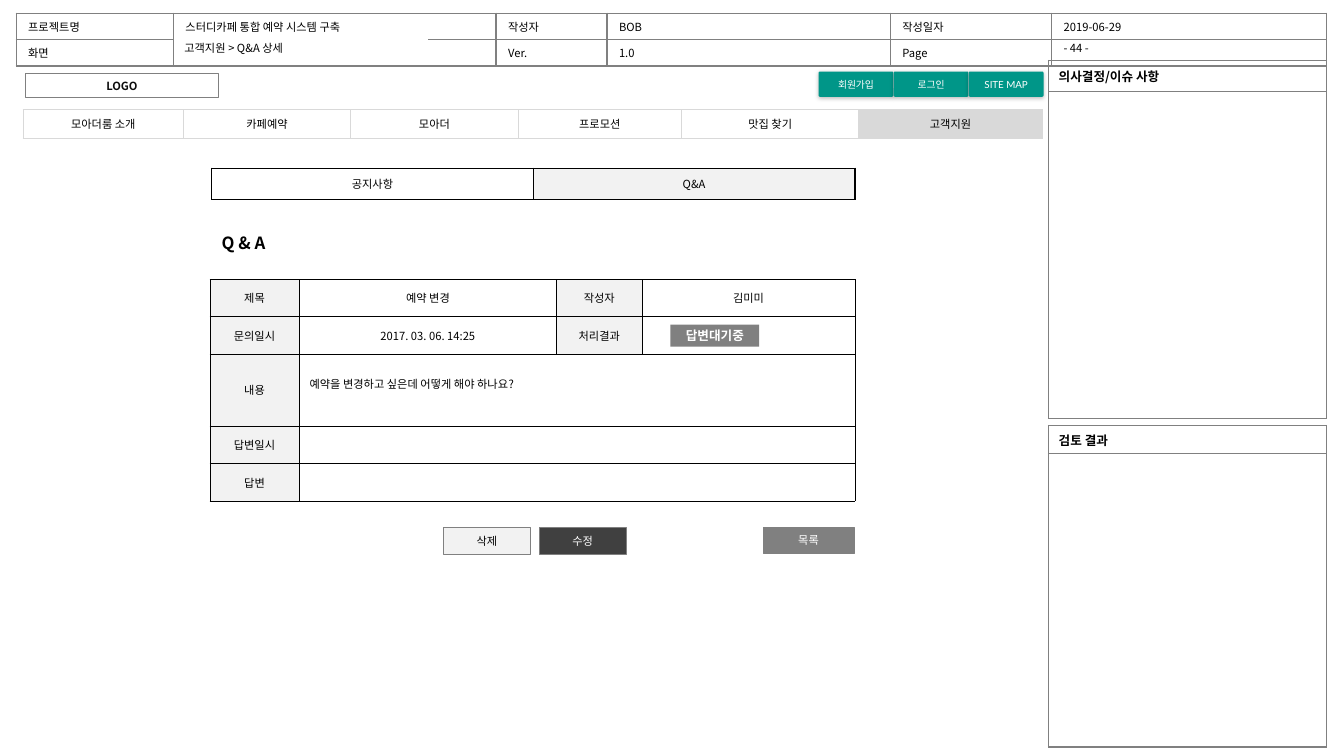
from lxml import etree
from pptx import Presentation
from pptx.dml.color import RGBColor
from pptx.enum.shapes import MSO_SHAPE
from pptx.enum.text import MSO_ANCHOR, PP_ALIGN
from pptx.oxml import parse_xml
from pptx.oxml.ns import qn
from pptx.util import Inches, Pt

RECT, ROUND = MSO_SHAPE.RECTANGLE, MSO_SHAPE.ROUNDED_RECTANGLE
LEFT, MID, JUST = PP_ALIGN.LEFT, PP_ALIGN.CENTER, PP_ALIGN.JUSTIFY
TOP, CENTRE = MSO_ANCHOR.TOP, MSO_ANCHOR.MIDDLE
KOREAN, LATIN = "Noto Sans CJK KR", "Lato"
SPACE = "http://schemas.openxmlformats.org/drawingml/2006/main"
HUES = {"black": "000000", "ink": "0D0D0D", "white": "FFFFFF", "grey": "808080",
        "pale": "F2F2F2", "light": "D9D9D9", "dark": "404040", "teal": "009688"}


def hue(name):
    return RGBColor.from_string(HUES[name])


def apply(item, values):
    for key, value in values.items():
        setattr(item, key, value)


def write(frame, text, size=8, color="black", bold=False, font=KOREAN, align=LEFT):
    para = frame.paragraphs[0]
    para.alignment = align
    if not text:
        etree.SubElement(para._p, qn("a:endParaRPr"), sz=str(size * 100))
        return
    run = para.add_run()
    run.text = text
    apply(run.font, {"size": Pt(size), "bold": bold, "name": font})
    run.font.color.rgb = hue(color)
    props = run.font._element
    etree.SubElement(props, qn("a:ea"), typeface=font)


def paint(fill, name):
    if name:
        fill.solid()
        fill.fore_color.rgb = hue(name)
    else:
        fill.background()


def block(slide, box, text, fill=None, line=None, width=0.25, kind=RECT,
          pad=0.1, align=MID, **style):
    shape = slide.shapes.add_shape(kind, *map(Inches, box))
    shape.shadow.inherit = False
    paint(shape.fill, fill)
    paint(shape.line.fill, line)
    if line:
        shape.line.width = Pt(width)
    apply(shape.text_frame, {"word_wrap": True, "vertical_anchor": CENTRE,
                             "margin_left": Inches(pad), "margin_right": Inches(pad)})
    write(shape.text_frame, text, align=align, **style)
    return shape


def label(slide, box, text, wrap=True, **style):
    frame = slide.shapes.add_textbox(*map(Inches, box)).text_frame
    frame.word_wrap = wrap
    write(frame, text, **style)


def shade(shape):
    effect = shape._element.spPr.find(qn("a:effectLst"))
    effect.append(parse_xml(
        f'<a:outerShdw xmlns:a="{SPACE}" blurRad="{Pt(3)}" dist="{Pt(1)}" '
        'dir="5400000" algn="t" rotWithShape="0"><a:srgbClr val="000000">'
        '<a:alpha val="25000"/></a:srgbClr></a:outerShdw>'))


def edge(cell, color, width):
    props = cell._tc.get_or_add_tcPr()
    for side in ("lnL", "lnR", "lnT", "lnB"):
        props.append(parse_xml(
            f'<a:{side} xmlns:a="{SPACE}" w="{Pt(width)}"><a:solidFill>'
            f'<a:srgbClr val="{HUES[color]}"/></a:solidFill></a:{side}>'))


def grid(slide, box, cols, rows, texts, line, width=1, fill=None, pad=0.1,
         anchor=CENTRE, align=MID, **style):
    table = slide.shapes.add_table(len(rows), len(cols), *map(Inches, box)).table
    apply(table, {"first_row": False, "horz_banding": False})
    for col, size in zip(table.columns, cols):
        col.width = Inches(size)
    for row, size in zip(table.rows, rows):
        row.height = Inches(size)
    for r, line_texts in enumerate(texts):
        for c, text in enumerate(line_texts):
            cell = table.cell(r, c)
            edge(cell, line, width)
            paint(cell.fill, fill(r, c) if fill else None)
            apply(cell, {"margin_left": Inches(pad), "margin_right": Inches(pad),
                         "vertical_anchor": anchor})
            write(cell.text_frame, text, align=align, **style)
    return table


def header(slide, box):
    x, y, w, h = box
    texts = [["프로젝트명", "스터디카페 통합 예약 시스템 구축", "작성자", "BOB",
              "작성일자", "2019-06-29"],
             ["화면", "", "Ver.", "1.0", "Page", ""]]
    table = grid(slide, box, [1.56, 3.2, 1.1, 2.81, 1.6, 2.73], [h / 2] * 2, texts,
                 "grey", pad=0.12, anchor=TOP, align=LEFT)
    table.cell(0, 1).text_frame.paragraphs[0].alignment = JUST
    label(slide, (x + 10.29, y + 0.23, 1.07, 0.24), "- 44 -")
    block(slide, (x + 1.57, y + 0.25, 2.51, 0.19), "고객지원 > Q&A 상세 ",
          "white", "white", 1, align=LEFT)


def menu(slide, box):
    x, y, w, h = box
    block(slide, (x + 0.02, y + 0.02, 1.92, 0.24), "LOGO", line="grey", width=0.75,
          color="ink", bold=True)
    for i, text in enumerate(["회원가입", "로그인", "SITE MAP"]):
        button = block(slide, (x + 7.89 + i * 0.745, y, 0.74, 0.25), text, "teal",
                       kind=ROUND, pad=0.08, size=7, color="white", font=LATIN)
        button.adjustments[0] = 0.05
        shade(button)
    names = ["모아더룸 소개", "카페예약", "모아더", "프로모션", "맛집 찾기", "고객지원"]
    grid(slide, (x, y + 0.38, w, 0.28), [1.59, 1.66, 1.66, 1.62, 1.76, 1.82], [0.28],
         [names], "light", pad=0.12,
         fill=lambda r, c: "light" if c == len(names) - 1 else "white")


def tabs(slide, box):
    x, y, w, h = box
    grid(slide, (x, y, w, 0.31), [w / 2] * 2, [0.31], [["공지사항", "Q&A"]], "black",
         fill=lambda r, c: ("white", "pale")[c])
    label(slide, (x, y + 0.59, 0.72, 0.3), "Q & A", wrap=False, size=12, bold=True)


def detail(slide, box):
    x, y, w, h = box
    texts = [["제목", "예약 변경", "작성자", "김미미"],
             ["문의일시", "2017. 03. 06. 14:25", "처리결과", ""],
             ["내용", "예약을 변경하고 싶은데 어떻게 해야 하나요?", "", ""],
             ["답변일시", "", "", ""],
             ["답변", "", "", ""]]
    table = grid(slide, box, [0.89, 2.55, 0.85, 2.11], [0.37, 0.37, 0.72, 0.37, 0.37],
                 texts, "black", 0.25,
                 fill=lambda r, c: "pale" if c == 0 or (c == 2 and r < 2) else "white")
    for r in range(2, 5):
        table.cell(r, 1).merge(table.cell(r, 3))
    body = table.cell(2, 1)
    body.margin_bottom = Inches(0.18)
    body.text_frame.paragraphs[0].alignment = LEFT
    block(slide, (x + 4.57, y + 0.45, 0.88, 0.22), "답변대기중", "grey",
          size=9, color="white", bold=True)
    for left, wide, tall, text, fill, color in [
            (2.32, 0.86, 0.27, "삭제", "pale", "black"),
            (3.27, 0.86, 0.27, "수정", "dark", "white"),
            (5.49, 0.9, 0.26, "목록", "grey", "white")]:
        block(slide, (x + left, y + 2.46, wide, tall), text, fill, "grey", color=color)


def panel(slide, box, title, top):
    grid(slide, box, [box[2]], [top, box[3] - top], [[title], [""]], "grey",
         align=LEFT, size=9, bold=True)


deck = Presentation()
apply(deck, {"slide_width": Inches(13.33), "slide_height": Inches(7.5)})
page = deck.slides.add_slide(deck.slide_layouts[6])
header(page, (0.16, 0.13, 13, 0.48))
menu(page, (0.23, 0.71, 10.12, 0.66))
tabs(page, (2.1, 1.67, 6.38, 0.89))
detail(page, (2.08, 2.77, 6.4, 2.2))
panel(page, (10.4, 0.6, 2.76, 3.55), "의사결정/이슈 사항", 0.31)
panel(page, (10.4, 4.22, 2.76, 3.19), "검토 결과", 0.28)
deck.save("out.pptx")
